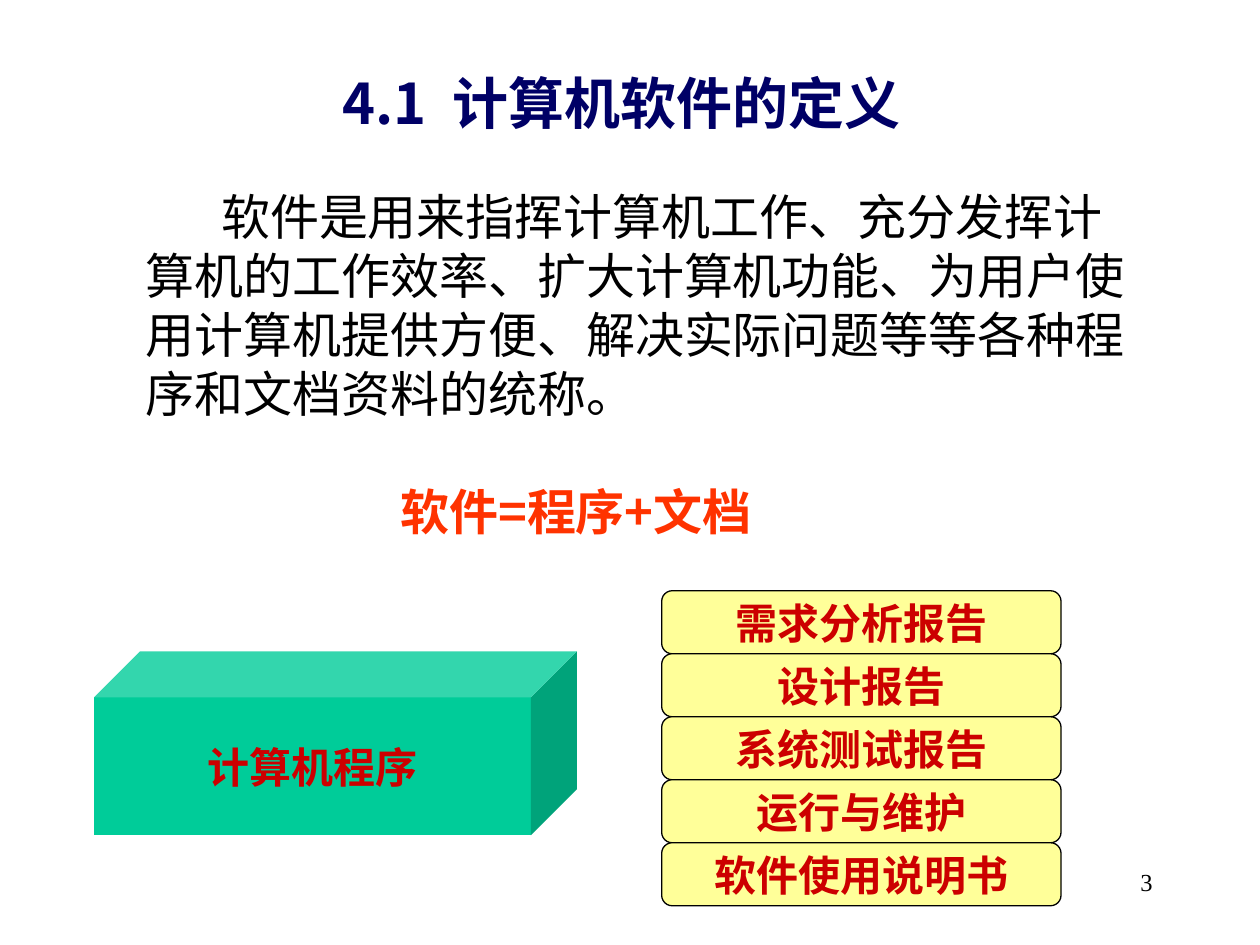
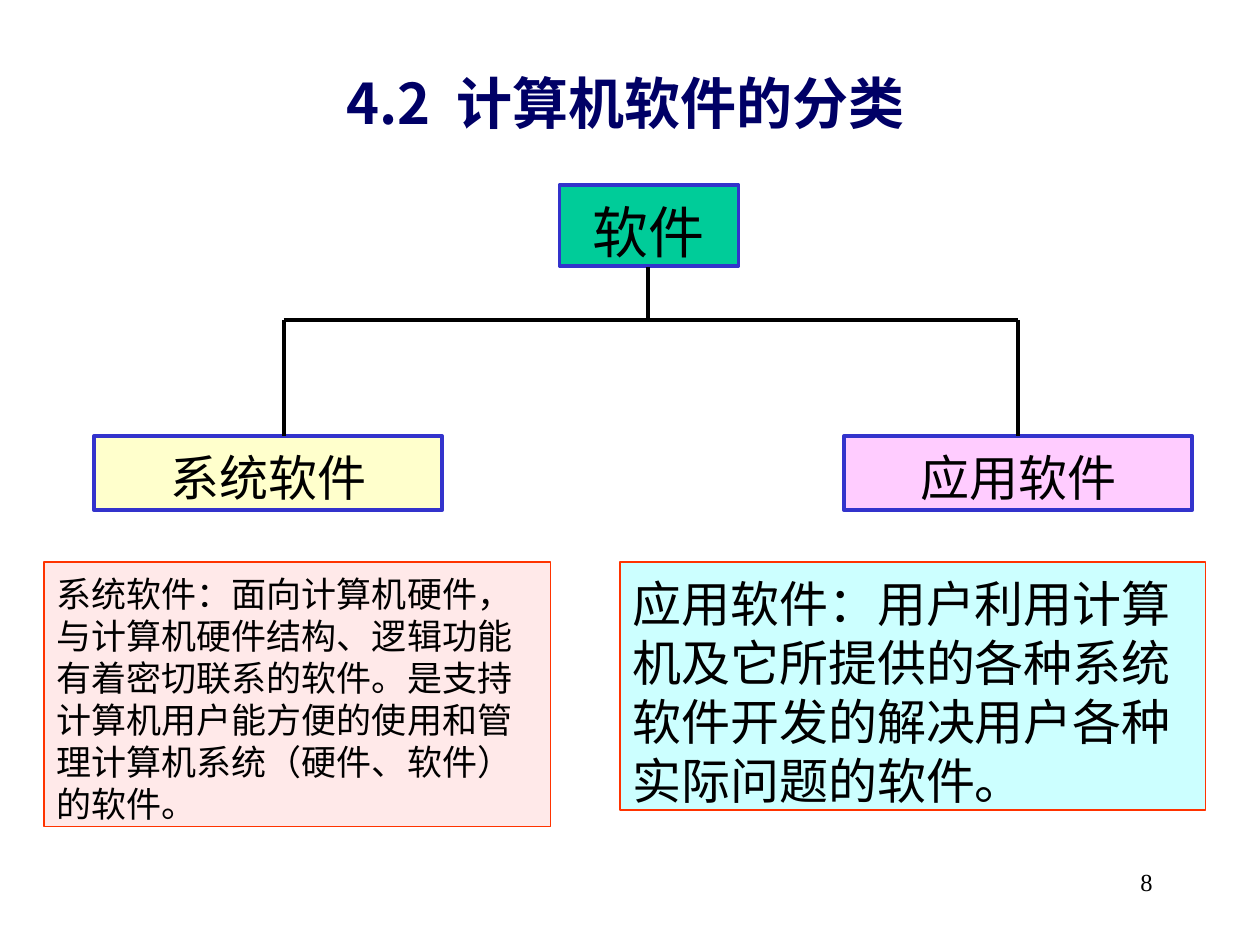
from lxml import etree
from pptx import Presentation
from pptx import util as u
from pptx.dml.color import RGBColor
from pptx.enum import shapes, text
from pptx.oxml import ns

# Shared colours
BLACK = RGBColor(0x00, 0x00, 0x00)
NAVY = RGBColor(0x00, 0x00, 0x66)
BLUE = RGBColor(0x33, 0x33, 0xCC)
GREEN = RGBColor(0x00, 0xCC, 0x99)
ORANGE = RGBColor(0xFF, 0x33, 0x00)
RED = RGBColor(0xCC, 0x00, 0x00)
YELLOW = RGBColor(0xFF, 0xFF, 0x99)
CREAM = RGBColor(0xFF, 0xFF, 0xCC)
PINK = RGBColor(0xFF, 0xCC, 0xFF)
ROSE = RGBColor(0xFF, 0xE9, 0xE9)
CYAN = RGBColor(0xCC, 0xFF, 0xFF)

# Shared text formats
SERIF, CJK = "Times New Roman", "Noto Sans CJK SC"
TITLE = {"name": "Noto Sans CJK JP", "size": 32, "bold": True, "color": NAVY}
BODY = {"name": SERIF, "size": 28, "bold": False, "color": BLACK}
ROOT = {**BODY, "size": 32}
SMALL = {**BODY, "size": 20}
NUMBER = {**BODY, "size": 14}
FORMULA = {"name": CJK, "size": 28, "bold": True, "color": ORANGE}
LABEL = {"name": "Arial", "size": 24, "bold": True, "color": RED}

LINE_HEIGHT = 1.2   # line pitch as a share of the text size
TOP_SHIFT = 0.11    # extra top inset that goes with this pitch
LEFT, CENTER, RIGHT = text.PP_ALIGN.LEFT, text.PP_ALIGN.CENTER, text.PP_ALIGN.RIGHT


def write(paragraph, words, style, align=LEFT, fixed_pitch=True):
    """Put one formatted run into a paragraph."""
    paragraph.alignment = align
    paragraph.space_before = u.Pt(0)
    if fixed_pitch:
        paragraph.line_spacing = u.Pt(style["size"] * LINE_HEIGHT)
    run = paragraph.add_run()
    run.text = words
    values = {"name": style["name"], "size": u.Pt(style["size"]), "bold": style["bold"]}
    for key, value in values.items():
        setattr(run.font, key, value)
    run.font.color.rgb = style["color"]
    east_asian = etree.SubElement(run._r.get_or_add_rPr(), ns.qn("a:ea"))
    east_asian.set("typeface", style["name"] if "CJK" in style["name"] else CJK)


def set_frame(shape, size, anchor=text.MSO_ANCHOR.TOP, wrap=True):
    """Set insets, anchor and wrapping; return the text frame."""
    shift = TOP_SHIFT * size if anchor == text.MSO_ANCHOR.TOP else 0
    values = {
        "margin_left": u.Cm(0.25), "margin_right": u.Cm(0.25),
        "margin_top": u.Cm(0.13) + u.Pt(shift), "margin_bottom": u.Cm(0.13),
        "vertical_anchor": anchor, "word_wrap": wrap,
        "auto_size": text.MSO_AUTO_SIZE.NONE,
    }
    for key, value in values.items():
        setattr(shape.text_frame, key, value)
    return shape.text_frame


def add_text_box(slide, box, size):
    return set_frame(slide.shapes.add_textbox(*map(u.Cm, box)), size)


def add_block(slide, kind, box, fill, line=None, line_width=0.75):
    """Add a filled preset shape, outlined if a line colour is given."""
    shape = slide.shapes.add_shape(kind, *map(u.Cm, box))
    shape.shadow.inherit = False
    shape.fill.solid()
    shape.fill.fore_color.rgb = fill
    if line is None:
        shape.line.fill.background()
    else:
        shape.line.color.rgb = line
        shape.line.width = u.Pt(line_width)
    return shape


def add_label(slide, kind, box, words, fill, line=None):
    """Add a shape with one bold line in its middle."""
    shape = add_block(slide, kind, box, fill, line)
    frame = set_frame(shape, LABEL["size"], text.MSO_ANCHOR.MIDDLE, wrap=False)
    write(frame.paragraphs[0], words, LABEL, CENTER, fixed_pitch=False)


def add_panel(slide, box, words, style, fill, line, line_width, align=LEFT):
    """Add a rectangle whose text starts at the top."""
    shape = add_block(slide, shapes.MSO_SHAPE.RECTANGLE, box, fill, line, line_width)
    write(set_frame(shape, style["size"]).paragraphs[0], words, style, align)


def add_line(slide, start, end):
    line = slide.shapes.add_connector(
        shapes.MSO_CONNECTOR.STRAIGHT, *map(u.Cm, start + end))
    line.line.color.rgb = BLACK
    line.line.width = u.Pt(2.25)
    etree.SubElement(line._element.spPr, ns.qn("a:effectLst"))


def add_slide(presentation, title, title_left, number):
    """Add a slide with its title and its page number."""
    slide = presentation.slides.add_slide(presentation.slide_layouts[5])
    heading = slide.shapes.title
    box = zip(("left", "top", "width", "height"), (title_left, 1.12, 12.04, 1.63))
    for key, value in box:
        setattr(heading, key, u.Cm(value))
    frame = set_frame(heading, TITLE["size"], wrap=False)
    write(frame.paragraphs[0], title, TITLE)
    frame = add_text_box(slide, (18.21, 17.35, 5.28, 1.27), 0)
    write(frame.paragraphs[0], number, NUMBER, RIGHT, fixed_pitch=False)
    return slide


def build_definition(presentation):
    slide = add_slide(presentation, "4.1  计算机软件的定义", 6.65, "3")

    # Definition and formula
    frame = add_text_box(slide, (2.69, 3.53, 20.6, 7.37), BODY["size"])
    definition = frame.paragraphs[0]
    write(definition,
          "软件是用来指挥计算机工作、充分发挥计算机的工作效率、扩大计算机功能、"
          "为用户使用计算机提供方便、解决实际问题等等各种程序和文档资料的统称。", BODY)
    definition._p.get_or_add_pPr().set("indent", str(u.Cm(1.52)))
    formula = frame.add_paragraph()
    write(formula, "软件=程序+文档", FORMULA)
    formula.space_before = u.Pt(34)
    formula._p.get_or_add_pPr().set("marL", str(u.Cm(5.13)))

    # Stack of documents
    documents = ("需求分析报告", "设计报告", "系统测试报告", "运行与维护", "软件使用说明书")
    height = 1.27
    for row, name in enumerate(documents):
        add_label(slide, shapes.MSO_SHAPE.ROUNDED_RECTANGLE,
                  (13.34, 11.91 + row * height, 8.05, height), name, YELLOW, BLACK)

    # Program
    add_label(slide, shapes.MSO_SHAPE.CUBE, (1.9, 13.13, 9.73, 3.71), "计算机程序", GREEN)


def build_classification(presentation):
    slide = add_slide(presentation, "4.2  计算机软件的分类", 6.73, "8")

    # Tree boxes
    nodes = (
        ((11.28, 3.73, 3.61, 1.63), "软件", ROOT, GREEN),
        ((1.9, 8.79, 7.01, 1.5), "系统软件", BODY, CREAM),
        ((17.02, 8.79, 7.01, 1.5), "应用软件", BODY, PINK),
    )
    for box, words, style, fill in nodes:
        add_panel(slide, box, words, style, fill, BLUE, 2.25, CENTER)

    # Tree branches
    root_x, left_x, right_x, bar_y = 13.06, 5.72, 20.52, 6.45
    add_line(slide, (left_x, bar_y), (right_x, bar_y))
    add_line(slide, (root_x, 5.38), (root_x, bar_y))
    for x in (left_x, right_x):
        add_line(slide, (x, bar_y), (x, 8.79))

    # Explanations
    notes = (
        ((0.89, 11.33, 10.21, 5.33), SMALL, ROSE,
         "系统软件：面向计算机硬件，与计算机硬件结构、逻辑功能有着密切联系的软件。"
         "是支持计算机用户能方便的使用和管理计算机系统（硬件、软件）的软件。"),
        ((12.5, 11.33, 11.81, 5), BODY, CYAN,
         "应用软件：用户利用计算机及它所提供的各种系统软件开发的"
         "解决用户各种实际问题的软件。"),
    )
    for box, style, fill, words in notes:
        add_panel(slide, box, words, style, fill, ORANGE, 0.75)


def main():
    presentation = Presentation()
    presentation.slide_width = u.Cm(25.4)
    presentation.slide_height = u.Cm(19.05)
    build_definition(presentation)
    build_classification(presentation)
    presentation.save("out.pptx")


if __name__ == "__main__":
    main()
